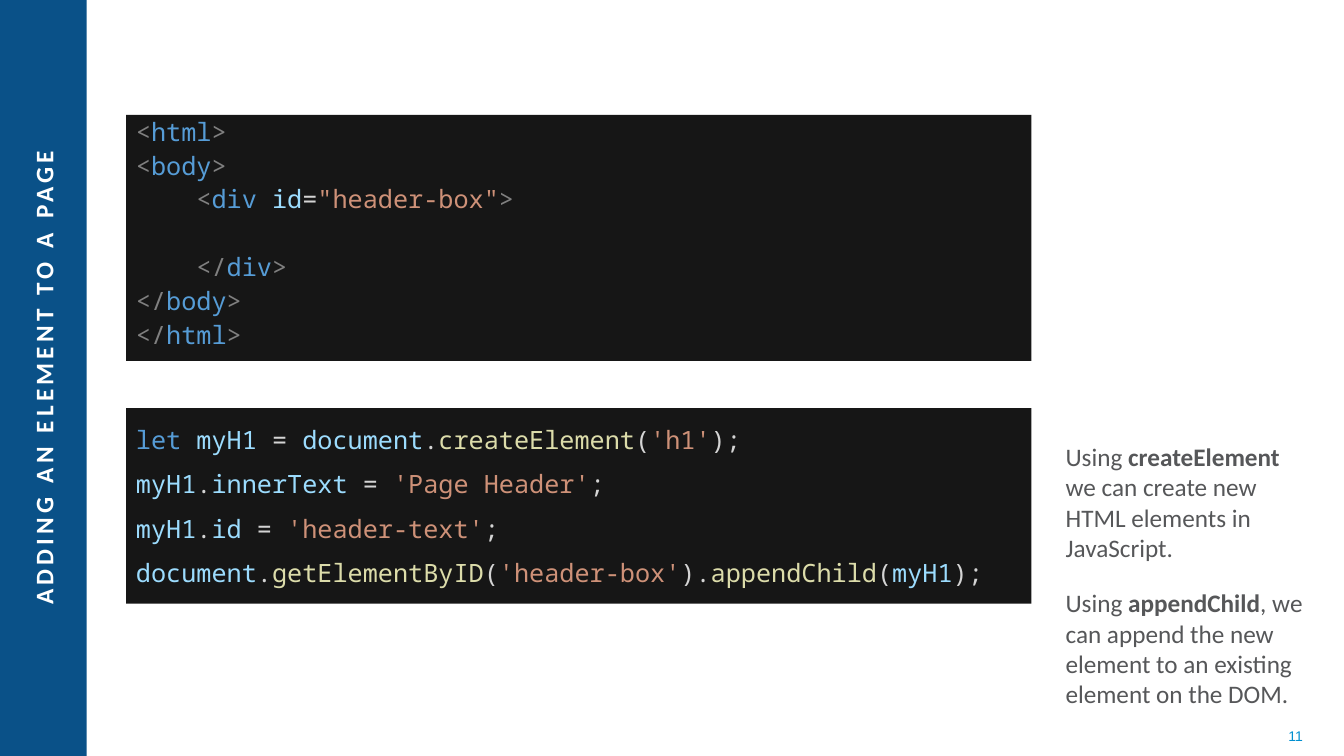
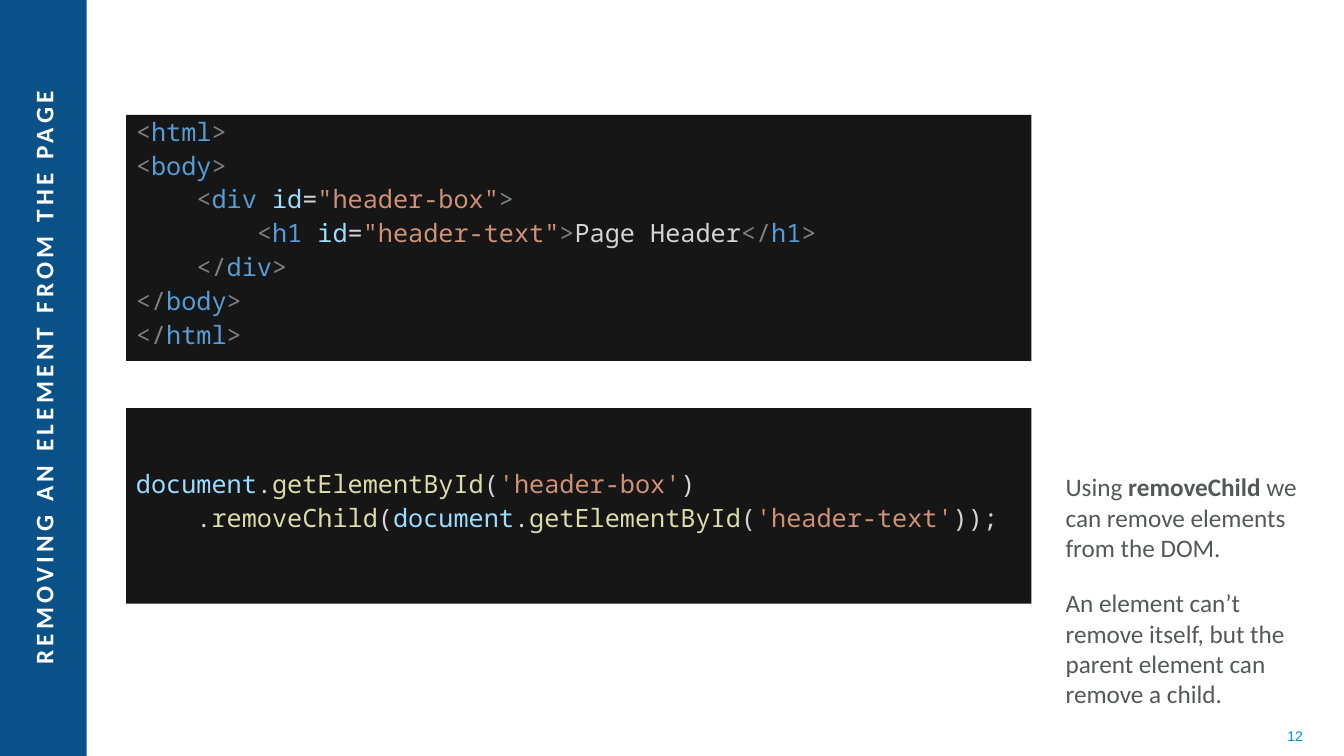
from itertools import groupby, zip_longest

from lxml import etree
from pptx import Presentation
from pptx import util as u
from pptx.dml.color import RGBColor
from pptx.enum import shapes, text

BLUE, PANEL, WHITE, GREY, CYAN = "0A5188", "161616", "FFFFFF", "565759", "008FD0"
CODE = {"mark": "808080", "word": "569CD6", "name": "9CDCFE",
        "call": "DCDCAA", "quote": "CE9178", "plain": "D4D4D4"}
SANS, MONO = "Calibri", "Noto Sans Mono"
LINE, GAP = 14.2, 10

BAND = (0, 0, 0.86, 7.5)
TITLE = (-3.41, 3.59, 7.68, 0.32)
PAGE = (1.25, 1.14, 8.98, 2.44)
SCRIPT = (1.25, 4.05, 8.98, 1.94)
NOTES = (10.47, 1.92, 2.61, 5.16)
NUMBER = (9.91, 7.1, 3.11, 0.4)


def rgb(code):
    return RGBColor.from_string(code)


def inches(box):
    return [u.Inches(n) for n in box]


def write(par, words, color, **style):
    """Add a run, with the style values set on its font."""
    run = par.add_run()
    run.text = words
    run.font.color.rgb = rgb(color)
    for key, value in style.items():
        setattr(run.font, key, value)
    return run


def setup(shape, anchor):
    frame = shape.text_frame
    for key, value in {"word_wrap": True, "vertical_anchor": anchor,
                       "auto_size": text.MSO_AUTO_SIZE.NONE}.items():
        setattr(frame, key, value)
    return frame


def lines(frame, items):
    """Yield a paragraph with each item, the first being the one already there."""
    for i, item in enumerate(items):
        yield (frame.add_paragraph() if i else frame.paragraphs[0]), item


def block(slide, box, color):
    shape = slide.shapes.add_shape(shapes.MSO_SHAPE.RECTANGLE, *inches(box))
    shape.shadow.inherit = False
    shape.fill.solid()
    shape.fill.fore_color.rgb = rgb(color)
    shape.line.fill.background()
    return shape


def label(slide, box, anchor):
    return setup(slide.shapes.add_textbox(*inches(box)), anchor)


def heading(slide, box, words):
    title = slide.shapes.title
    for key, value in zip(("left", "top", "width", "height"), inches(box)):
        setattr(title, key, value)
    title.rotation = 270
    # Bring the title in front of the band.
    slide.shapes.element.append(title.element)
    par = setup(title, text.MSO_ANCHOR.MIDDLE).paragraphs[0]
    par.alignment = text.PP_ALIGN.CENTER
    run = write(par, words, WHITE, size=u.Pt(18), name=SANS, bold=True)
    run.font.element.set("spc", "300") if hasattr(run.font, "element") else \
        run._r.get_or_add_rPr().set("spc", "300")


def start(name, ident="", depth=0):
    """Tokens of an opening tag."""
    tokens = [("plain", "    " * depth)] if depth else []
    tokens += [("mark", "<"), ("word", name)]
    if ident:
        tokens += [("name", " id"), ("plain", "="), ("quote", f'"{ident}"')]
    return tokens + [("mark", ">")]


def end(name, depth=0):
    """Tokens of a closing tag."""
    tokens = [("plain", "    " * depth)] if depth else []
    return tokens + [("mark", "</"), ("word", name), ("mark", ">")]


def markup(inner):
    return [start("html"), start("body"), start("div", "header-box", 1), inner,
            end("div", 1), end("body"), end("html")]


def tokens(line):
    """Sort a line of JavaScript into kinds of token."""
    found = []
    for i, part in enumerate(line.split("'")):
        if i % 2:
            found.append(("quote", f"'{part}'"))
            continue
        groups = ["".join(g) for _, g in groupby(part, str.isalnum)]
        for group, after in zip_longest(groups, groups[1:], fillvalue=""):
            if not group.isalnum():
                kind = "plain"
            elif group == "let":
                kind = "word"
            else:
                kind = "call" if after.startswith("(") else "name"
            found.append((kind, group))
    return found


def panel(slide, box, rows, tight=True):
    """Draw a code panel; an empty row widens the gap above the next one."""
    frame = setup(block(slide, box, PANEL), text.MSO_ANCHOR.MIDDLE)
    filled = [(row, bool(i) and not rows[i - 1])
              for i, row in enumerate(rows) if row]
    for par, (row, wide) in lines(frame, filled):
        par.alignment = text.PP_ALIGN.LEFT
        if par is not None and row is not filled[0][0]:
            par.space_before = u.Pt(GAP + (LINE + GAP if wide else 0))
        if tight:
            par.line_spacing = u.Pt(LINE)
        for kind, words in row:
            write(par, words, CODE[kind], size=u.Pt(18), name=MONO)


def notes(slide, box, items):
    """Write paragraphs whose odd parts, between asterisks, are bold."""
    frame = label(slide, box, text.MSO_ANCHOR.BOTTOM)
    for par, item in lines(frame, items):
        if item is not items[0]:
            par.space_before = u.Pt(10)
        par.space_after = u.Pt(8)
        for i, words in enumerate(item.split("*")):
            write(par, words, GREY, size=u.Pt(18), name=SANS, bold=bool(i % 2))


def number(slide, box, page):
    par = label(slide, box, text.MSO_ANCHOR.MIDDLE).paragraphs[0]
    par.alignment = text.PP_ALIGN.RIGHT
    write(par, str(page), CYAN, size=u.Pt(10), name="Arial")


def lesson(deck, page, title, inner, script, remarks, tight):
    slide = deck.slides.add_slide(deck.slide_layouts[5])
    block(slide, BAND, BLUE)
    heading(slide, TITLE, title)
    panel(slide, PAGE, markup(inner))
    panel(slide, SCRIPT, [tokens(line) for line in script], tight)
    notes(slide, NOTES, remarks)
    number(slide, NUMBER, page)


def main():
    deck = Presentation()
    deck.slide_width, deck.slide_height = u.Inches(13.33), u.Inches(7.5)
    lesson(deck, 11, "ADDING AN ELEMENT TO A PAGE", [],
           ["let myH1 = document.createElement('h1');",
            "myH1.innerText = 'Page Header';",
            "myH1.id = 'header-text';",
            "document.getElementByID('header-box').appendChild(myH1);"],
           ["Using *createElement* we can create new HTML elements in JavaScript.",
            "Using *appendChild*, we can append the new element to an existing "
            "element on the DOM."], tight=False)
    lesson(deck, 12, "REMOVING AN ELEMENT FROM THE PAGE",
           start("h1", "header-text", 2) + [("plain", "Page Header")] + end("h1"),
           ["document.getElementById('header-box')",
            "    .removeChild(document.getElementById('header-text'));"],
           ["Using *removeChild* we can remove elements from the DOM.",
            "An element can’t remove itself, but the parent element can remove "
            "a child."], tight=True)
    deck.save("out.pptx")


if __name__ == "__main__":
    main()
